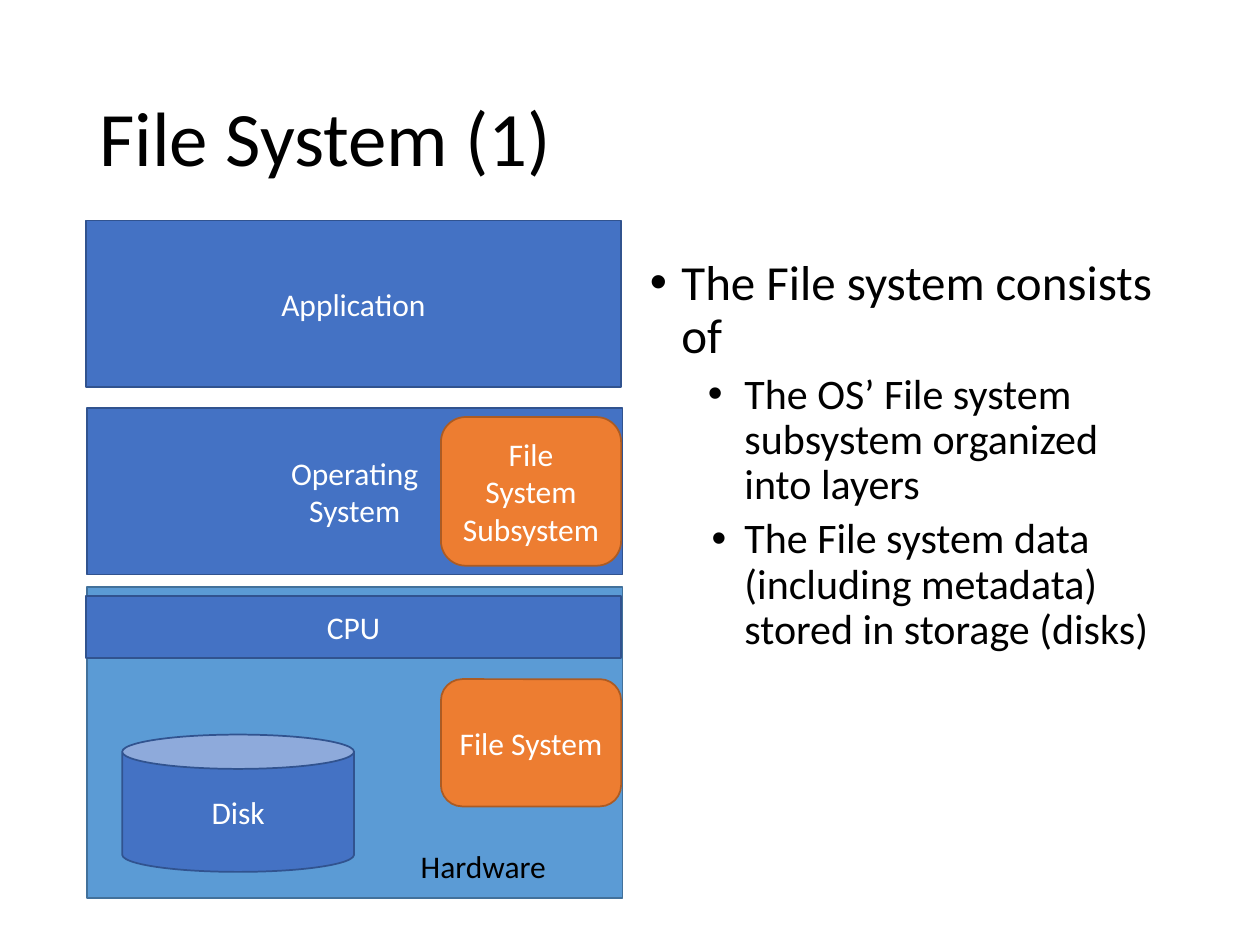
"""Build the File System (1) slide: a layer diagram beside a bulleted summary."""
from lxml.etree import SubElement
from pptx import Presentation
from pptx.dml.color import RGBColor
from pptx.enum.shapes import MSO_SHAPE as Shape
from pptx.enum.text import MSO_ANCHOR as Anchor, PP_ALIGN as Align
from pptx.oxml.ns import qn
from pptx.util import Inches, Pt

COLORS = {
    "black": "000000", "white": "FFFFFF",
    "layer": "4472C4", "layer_line": "31538F",
    "hardware": "5B9BD5", "hardware_line": "42719B",
    "files": "ED7D31", "files_line": "AC5B23",
}
LEFT, COLUMN = 0.69, 4.25
NUDGED = LEFT - 0.01
FILES_WIDTH = 1.43
FILES_LEFT = NUDGED + COLUMN - FILES_WIDTH
BODY_LEFT = 10 - LEFT - COLUMN


def write(shape, text, size=18, color="white", align=Align.CENTER,
          anchor=Anchor.MIDDLE, spacing=None, bullets=(), wrap=True):
    frame = shape.text_frame
    frame.word_wrap = wrap
    frame.vertical_anchor = anchor
    for index, line in enumerate(text.split("\n")):
        paragraph = frame.paragraphs[0] if index == 0 else frame.add_paragraph()
        paragraph.alignment = align
        paragraph.line_spacing = spacing
        font_size = size
        if bullets:
            level, margin, indent, font_size, before = bullets[index]
            paragraph.level = level
            if index:
                paragraph.space_before = Pt(before)
            properties = paragraph._p.get_or_add_pPr()
            properties.set("marL", str(Inches(margin)))
            properties.set("indent", str(Inches(indent)))
            SubElement(properties, qn("a:buFont"), typeface="Arial")
            SubElement(properties, qn("a:buChar"), char="•")
        run = paragraph.add_run()
        run.text = line
        run.font.name = "Calibri"
        run.font.size = Pt(font_size)
        run.font.color.rgb = RGBColor.from_string(COLORS[color])


presentation = Presentation()
presentation.slide_width, presentation.slide_height = Inches(10), Inches(7.5)
slide = presentation.slides.add_slide(presentation.slide_layouts[6])

blocks = [
    (Shape.RECTANGLE, "hardware", LEFT, 4.66, COLUMN, 2.47, ""),
    (Shape.RECTANGLE, "layer", NUDGED, 1.75, COLUMN, 1.32, "Application"),
    (Shape.RECTANGLE, "layer", LEFT, 3.24, COLUMN, 1.32, "Operating\nSystem"),
    (Shape.CAN, "layer", 0.97, 5.83, 1.84, 1.09, "Disk"),
    (Shape.RECTANGLE, "layer", NUDGED, 4.73, COLUMN, 0.49, "CPU"),
    (Shape.ROUNDED_RECTANGLE, "files", FILES_LEFT, 3.31, FILES_WIDTH, 1.18,
     "File System\nSubsystem"),
    (Shape.ROUNDED_RECTANGLE, "files", FILES_LEFT, 5.39, FILES_WIDTH, 1.01,
     "File System"),
]
for kind, role, left, top, width, height, label in blocks:
    shape = slide.shapes.add_shape(
        kind, Inches(left), Inches(top), Inches(width), Inches(height))
    shape.shadow.inherit = False
    shape.fill.solid()
    shape.fill.fore_color.rgb = RGBColor.from_string(COLORS[role])
    shape.line.color.rgb = RGBColor.from_string(COLORS[role + "_line"])
    shape.line.width = Pt(1)
    if label:
        write(shape, label)

body = "\n".join([
    "The File system consists of",
    "The OS’ File system subsystem organized into layers",
    "The File system data (including metadata) stored in storage (disks)",
])
body_bullets = [(0, 0.25, -0.26, 28, 0), (1, 0.75, -0.29, 24, 5),
                (1, 0.75, -0.26, 24, 5)]
texts = [
    (LEFT, 0.4, 10 - 2 * LEFT, 1.45, "File System (1)",
     {"size": 44, "spacing": 0.9}),
    (3.24, 6.67, 1.21, 0.4, "Hardware", {"anchor": Anchor.TOP, "wrap": False}),
    (BODY_LEFT, 2, COLUMN, 4.76, body,
     {"anchor": Anchor.TOP, "spacing": 0.9, "bullets": body_bullets}),
]
for left, top, width, height, text, options in texts:
    box = slide.shapes.add_textbox(
        Inches(left), Inches(top), Inches(width), Inches(height))
    write(box, text, color="black", align=Align.LEFT, **options)

presentation.save("out.pptx")
